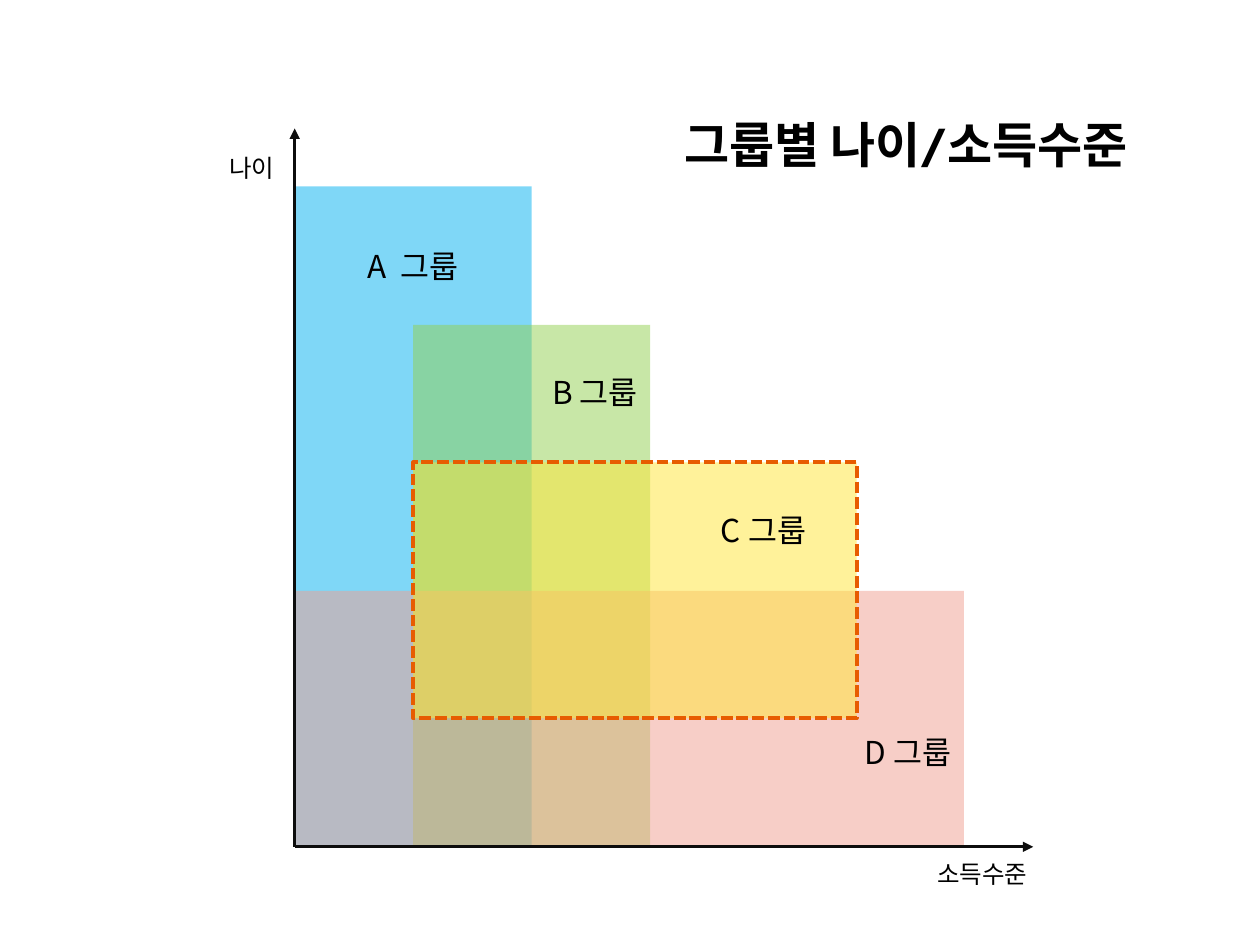
from dataclasses import dataclass

from lxml.etree import SubElement
from pptx import Presentation
from pptx.dml.color import RGBColor
from pptx.enum.dml import MSO_LINE
from pptx.enum.shapes import MSO_CONNECTOR, MSO_SHAPE
from pptx.enum.text import MSO_ANCHOR, MSO_AUTO_SIZE, PP_ALIGN
from pptx.oxml.ns import qn
from pptx.util import Cm, Pt

COLORS = {
    "text": "000000",
    "axis": "0D0D0D",
    "a": "00B0F0",
    "b": "92D050",
    "c": "FFE636",
    "d": "F19E91",
    "highlight": "E75C01",
}
KOREAN_FONT = "Noto Sans CJK KR"
TITLE_FONT = "Cabin"

# Chart geometry in centimetres
ORIGIN_X, ORIGIN_Y = 5.94, 17.07
AXIS_RIGHT, AXIS_TOP = 20.83, 2.59
SECOND_LEFT = 8.33
INSET = 0.25


@dataclass
class Group:
    name: str
    color: str
    left: float
    top: float
    width: float
    label_top: float
    bottom: float = ORIGIN_Y
    align: PP_ALIGN = PP_ALIGN.RIGHT
    label_right: float = INSET
    outline: str | None = None


@dataclass
class AxisLabel:
    text: str
    left: float
    top: float
    width: float
    height: float = 0.86


GROUPS = [
    Group("A  그룹", "a", ORIGIN_X, 3.76, 4.78, 1.23, align=PP_ALIGN.CENTER),
    Group("B 그룹", "b", SECOND_LEFT, 6.55, 4.78, 0.98),
    Group("D 그룹", "d", ORIGIN_X, 11.91, 13.49, 2.86),
    Group("C 그룹", "c", SECOND_LEFT, 9.32, 8.94, 0.98, bottom=14.48,
          label_right=1.02, outline="highlight"),
]
AXIS_ENDS = [(AXIS_RIGHT, ORIGIN_Y), (ORIGIN_X, AXIS_TOP)]
AXIS_LABELS = [
    AxisLabel("나이", 4.37, 2.97, 1.6),
    AxisLabel("소득수준", 18.64, 17.2, 2.59),
]


def color(name: str) -> RGBColor:
    return RGBColor.from_string(COLORS[name])


def write_text(shape, text: str, *, size: float, font: str = KOREAN_FONT,
               bold: bool = False, align: PP_ALIGN = PP_ALIGN.LEFT,
               anchor: MSO_ANCHOR = MSO_ANCHOR.TOP) -> None:
    frame = shape.text_frame
    frame.word_wrap = True
    frame.auto_size = MSO_AUTO_SIZE.NONE
    frame.vertical_anchor = anchor
    para = frame.paragraphs[0]
    para.alignment = align
    span = para.add_run()
    span.text = text
    span.font.name = font
    span.font.size = Pt(size)
    span.font.bold = bold
    span.font.color.rgb = color("text")


def add_title(page, text: str) -> None:
    title = page.shapes.title
    title.left, title.top = Cm(12.9), Cm(2.18)
    title.width, title.height = Cm(10.72), Cm(1.45)
    write_text(title, text, size=28, font=TITLE_FONT, bold=True,
               align=PP_ALIGN.CENTER, anchor=MSO_ANCHOR.MIDDLE)


def add_group(page, group: Group) -> None:
    box = page.shapes.add_shape(
        MSO_SHAPE.RECTANGLE, Cm(group.left), Cm(group.top),
        Cm(group.width), Cm(group.bottom - group.top))
    box.shadow.inherit = False
    box.fill.solid()
    box.fill.fore_color.rgb = color(group.color)
    fill_color = box.fill._xPr.find(qn("a:solidFill"))[0]
    SubElement(fill_color, qn("a:alpha"), val="50000")
    if group.outline:
        box.line.color.rgb = color(group.outline)
        box.line.width = Pt(2.25)
        box.line.dash_style = MSO_LINE.SQUARE_DOT
    else:
        box.line.fill.background()
    box.text_frame.margin_top = Cm(group.label_top)
    box.text_frame.margin_right = Cm(group.label_right)
    write_text(box, group.name, size=18, align=group.align)


def add_axis(page, end_x: float, end_y: float) -> None:
    axis = page.shapes.add_connector(
        MSO_CONNECTOR.STRAIGHT, Cm(ORIGIN_X), Cm(ORIGIN_Y), Cm(end_x), Cm(end_y))
    axis.line.color.rgb = color("axis")
    axis.line.width = Pt(1.5)
    SubElement(axis.line._get_or_add_ln(), qn("a:tailEnd"), type="triangle")
    SubElement(axis._element.spPr, qn("a:effectLst"))


def add_axis_label(page, label: AxisLabel) -> None:
    box = page.shapes.add_textbox(
        Cm(label.left), Cm(label.top), Cm(label.width), Cm(label.height))
    write_text(box, label.text, size=14)


def main() -> None:
    deck = Presentation()
    deck.slide_width, deck.slide_height = Cm(25.4), Cm(19.05)
    page = deck.slides.add_slide(deck.slide_layouts.get_by_name("Title Only"))
    add_title(page, "그룹별 나이/소득수준")
    for group in GROUPS:
        add_group(page, group)
    for end_x, end_y in AXIS_ENDS:
        add_axis(page, end_x, end_y)
    for label in AXIS_LABELS:
        add_axis_label(page, label)
    deck.save("out.pptx")


if __name__ == "__main__":
    main()
